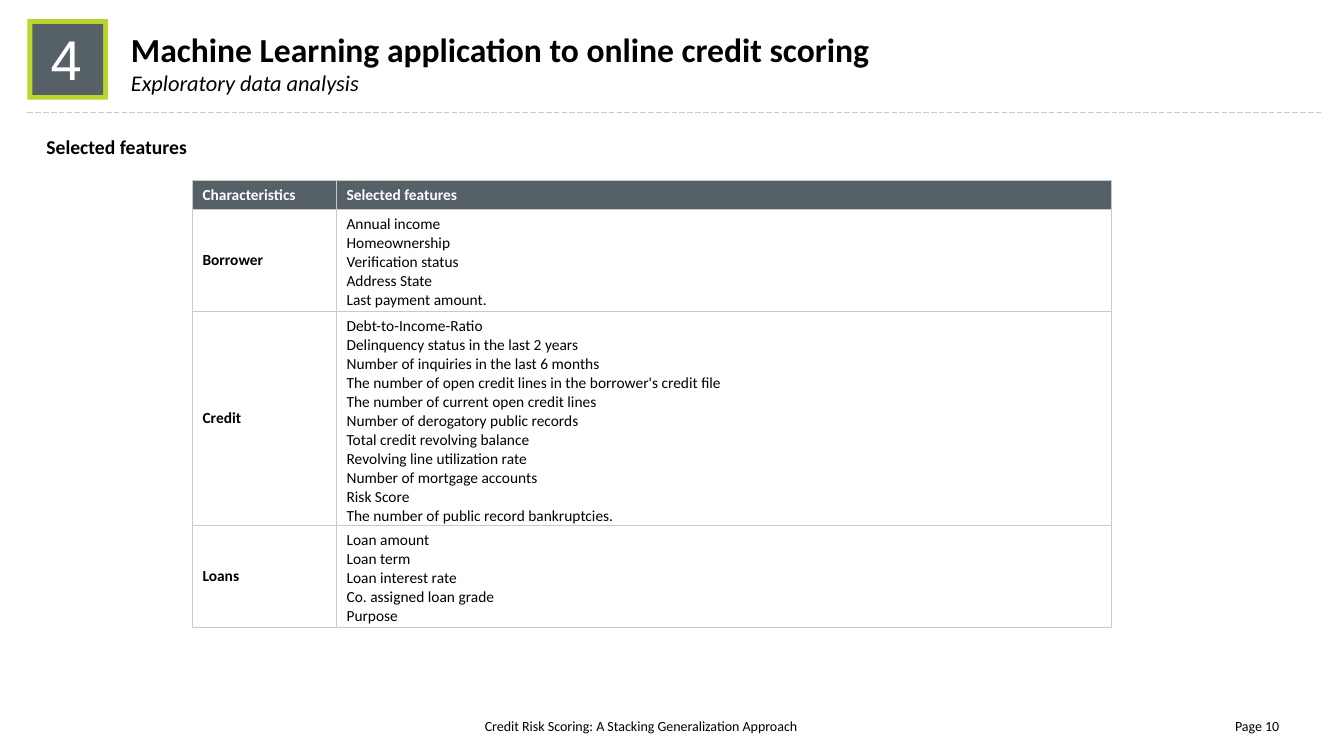
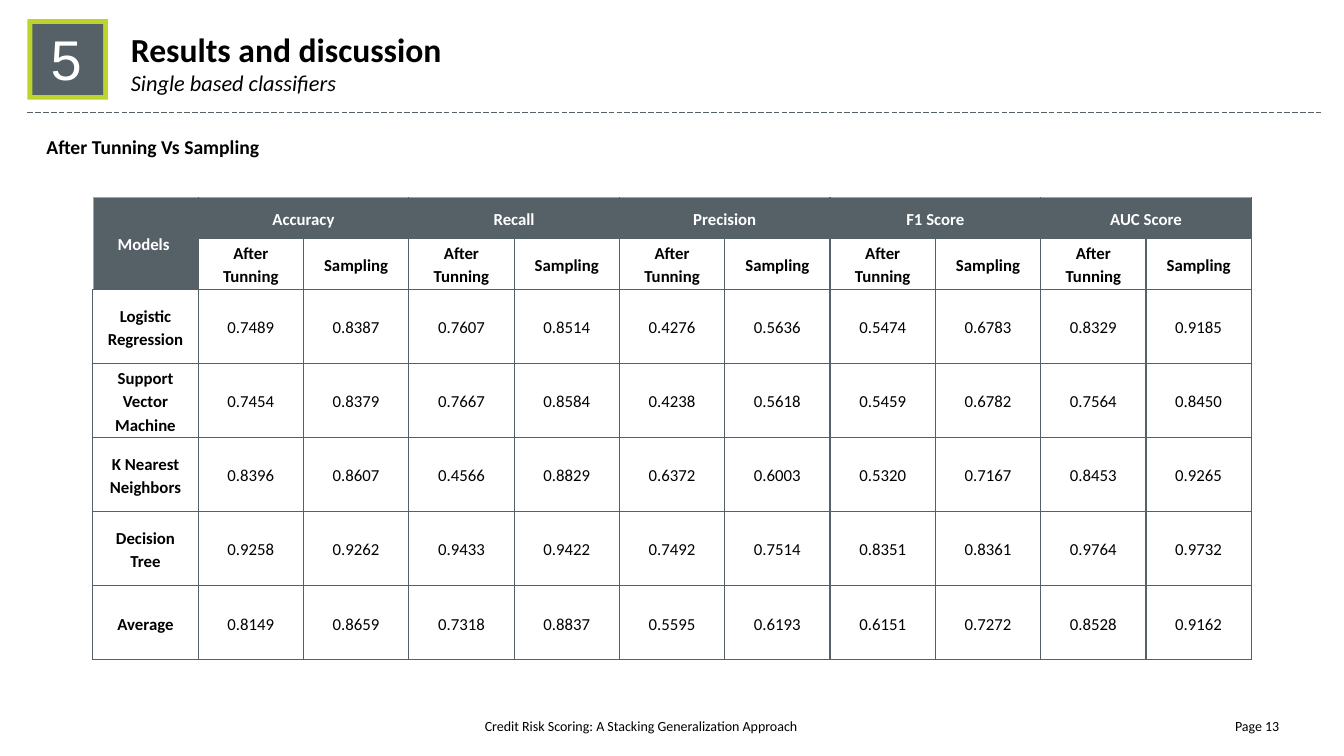
from lxml import etree
from pptx import Presentation
from pptx.dml.color import RGBColor
from pptx.enum.dml import MSO_LINE
from pptx.enum.shapes import MSO_CONNECTOR, MSO_SHAPE
from pptx.enum.text import MSO_ANCHOR as Anchor, MSO_AUTO_SIZE, PP_ALIGN as Align
from pptx.oxml.ns import qn
from pptx.util import Cm, Pt

WHITE = RGBColor(0xFF, 0xFF, 0xFF)
BLACK = RGBColor(0, 0, 0)
SLATE = RGBColor(0x56, 0x60, 0x67)
LIME = RGBColor(0xBD, 0xD5, 0x2A)
LIGHT_GREY = RGBColor(0xC9, 0xC9, 0xC9)
MID_GREY = RGBColor(0xA5, 0xA5, 0xA5)

FOOTER = "Credit Risk Scoring: A Stacking Generalization Approach"

FEATURES = {
    "Borrower": [
        "Annual income",
        "Homeownership",
        "Verification status",
        "Address State",
        "Last payment amount.",
    ],
    "Credit": [
        "Debt-to-Income-Ratio",
        "Delinquency status in the last 2 years",
        "Number of inquiries in the last 6 months",
        "The number of open credit lines in the borrower's credit file",
        "The number of current open credit lines",
        "Number of derogatory public records",
        "Total credit revolving balance",
        "Revolving line utilization rate",
        "Number of mortgage accounts",
        "Risk Score",
        "The number of public record bankruptcies.",
    ],
    "Loans": [
        "Loan amount",
        "Loan term",
        "Loan interest rate",
        "Co. assigned loan grade",
        "Purpose",
    ],
}

METRICS = ["Accuracy", "Recall", "Precision", "F1 Score", "AUC Score"]
STAGES = ["After Tunning", "Sampling"]
SCORES = {
    "Logistic Regression": [0.7489, 0.8387, 0.7607, 0.8514, 0.4276,
                            0.5636, 0.5474, 0.6783, 0.8329, 0.9185],
    "Support Vector Machine": [0.7454, 0.8379, 0.7667, 0.8584, 0.4238,
                               0.5618, 0.5459, 0.6782, 0.7564, 0.8450],
    "K Nearest Neighbors": [0.8396, 0.8607, 0.4566, 0.8829, 0.6372,
                            0.6003, 0.5320, 0.7167, 0.8453, 0.9265],
    "Decision Tree": [0.9258, 0.9262, 0.9433, 0.9422, 0.7492,
                      0.7514, 0.8351, 0.8361, 0.9764, 0.9732],
    "Average": [0.8149, 0.8659, 0.7318, 0.8837, 0.5595,
                0.6193, 0.6151, 0.7272, 0.8528, 0.9162],
}


def style_paragraph(paragraph, size, color=BLACK, bold=False, italic=False,
                    name="Calibri", align=Align.LEFT):
    font = paragraph.font
    font.name, font.size, font.bold, font.italic = name, Pt(size), bold, italic
    font.color.rgb = color
    paragraph.alignment = align


def add_text(shapes, box, lines, anchor=Anchor.TOP, inset=True, grow=True):
    """Add a text box; lines holds pairs of text and paragraph style."""
    frame = shapes.add_textbox(*box).text_frame
    frame.word_wrap = True
    frame.auto_size = MSO_AUTO_SIZE.SHAPE_TO_FIT_TEXT if grow else MSO_AUTO_SIZE.NONE
    frame.vertical_anchor = anchor
    if not inset:
        frame.margin_left = frame.margin_right = 0
        frame.margin_top = frame.margin_bottom = 0
    frame.text = "\n".join(text for text, _ in lines)
    for paragraph, (_, style) in zip(frame.paragraphs, lines):
        style_paragraph(paragraph, **style)


def add_square(shapes, left, top, side, color):
    square = shapes.add_shape(MSO_SHAPE.RECTANGLE, left, top, side, side)
    square.shadow.inherit = False
    square.fill.solid()
    square.fill.fore_color.rgb = color
    square.line.fill.background()


def add_section_tile(slide, left, top, number):
    shapes = slide.shapes.add_group_shape().shapes
    add_square(shapes, left, top, Cm(2.03), LIME)
    add_square(shapes, left + Cm(0.13), top + Cm(0.13), Cm(1.78), SLATE)
    box = left + Cm(0.48), top + Cm(0.15), Cm(1), Cm(1.7)
    style = dict(size=40, color=WHITE, name="Arial", align=Align.CENTER)
    add_text(shapes, box, [(number, style)], inset=False)


def add_divider(slide, left, top, width, color):
    line = slide.shapes.add_connector(
        MSO_CONNECTOR.STRAIGHT, left, top, left + width, top)
    line.line.color.rgb = color
    line.line.width = Pt(0.5)
    line.line.dash_style = MSO_LINE.LONG_DASH
    etree.SubElement(line._element.spPr, qn("a:effectLst"))


def add_footer(slide, left, top, page):
    width, height = Cm(8.59), Cm(0.51)
    for offset, text, align in ((0, FOOTER, Align.CENTER),
                                (Cm(12.04), f"Page {page}", Align.RIGHT)):
        add_text(slide.shapes, (left + offset, top, width, height),
                 [(text, dict(size=10, align=align))], Anchor.MIDDLE, grow=False)


def add_framed_slide(presentation, number, title, subtitle, heading, page, line_color):
    """Add a slide with the shared header, heading and footer."""
    slide = presentation.slides.add_slide(presentation.slide_layouts[6])
    add_section_tile(slide, Cm(0.69), Cm(0.48), number)
    add_text(slide.shapes, (Cm(3.05), Cm(0.61), Cm(19.66), Cm(1.96)),
             [(title, dict(size=24, bold=True)),
              (subtitle, dict(size=16, italic=True))])
    add_divider(slide, Cm(0.69), Cm(2.84), Cm(32.6), line_color)
    add_text(slide.shapes, (Cm(1.17), Cm(3.4), Cm(12.88), Cm(0.61)),
             [(heading, dict(size=14, bold=True))], inset=False)
    add_footer(slide, Cm(11.86), Cm(18.03), page)
    return slide


def set_borders(cell, colors, widths):
    """Draw the left, right, top and bottom borders of a cell."""
    properties = cell._tc.get_or_add_tcPr()
    for index, (side, color, width) in enumerate(zip("LRTB", colors, widths)):
        line = etree.Element(qn(f"a:ln{side}"), w=str(Pt(width)))
        fill = etree.SubElement(line, qn("a:solidFill"))
        etree.SubElement(fill, qn("a:srgbClr"), val=str(color))
        properties.insert(index, line)


def add_grid(slide, left, top, columns, rows):
    """Add a plain table and return its frame."""
    frame = slide.shapes.add_table(
        len(rows), len(columns), left, top, sum(columns), sum(rows))
    table = frame.table
    table.first_row = table.horz_banding = False
    for column, width in zip(table.columns, columns):
        column.width = width
    for row, height in zip(table.rows, rows):
        row.height = height
    return frame


def fill_cell(cell, text, header=False, spacing=None, **style):
    cell.text = text
    cell.vertical_anchor = Anchor.MIDDLE
    if header:
        cell.fill.solid()
        cell.fill.fore_color.rgb = SLATE
    else:
        cell.fill.background()
    for paragraph in cell.text_frame.paragraphs:
        style_paragraph(paragraph, color=WHITE if header else BLACK, **style)
        if spacing:
            paragraph.line_spacing = spacing


def add_features_table(slide, left, top):
    frame = add_grid(slide, left, top, [Cm(3.63), Cm(19.53)],
                     [Cm(0.69)] + [Cm(2.54)] * len(FEATURES))
    frame.height = Cm(11.25)
    rows = [("Characteristics", "Selected features")]
    rows += [(group, "\n".join(names)) for group, names in FEATURES.items()]
    for r, row in enumerate(rows):
        for c, text in enumerate(row):
            cell = frame.table.cell(r, c)
            fill_cell(cell, text, header=r == 0, size=11, bold=r == 0 or c == 0)
            set_borders(cell, [LIGHT_GREY] * 4, [1] * 4)


def add_scores_table(slide, left, top):
    rows = [["Models "] + [text for metric in METRICS for text in (metric, "")],
            [""] + STAGES * len(METRICS)]
    rows += [[model] + [f"{score:.4f}" for score in scores]
             for model, scores in SCORES.items()]
    last = len(rows[0]) - 1
    table = add_grid(slide, left, top, [Cm(2.655)] * len(rows[0]),
                     [Cm(1.02), Cm(1.3)] + [Cm(1.865)] * len(SCORES)).table
    for r, row in enumerate(rows):
        for c, text in enumerate(row):
            cell = table.cell(r, c)
            header = r == 0 or (r == 1 and c == 0)
            cell.margin_left = cell.margin_right = Cm(0.18)
            cell.margin_top = cell.margin_bottom = 0
            fill_cell(cell, text, header, 1.15, size=12,
                      bold=r < 2 or c == 0, align=Align.CENTER)
            outer = [header and c == 0, header and c == last, r == 0, False]
            set_borders(cell, [MID_GREY if edge else SLATE for edge in outer],
                        [0.5 if edge else 1 for edge in outer])
    table.cell(0, 0).merge(table.cell(1, 0))
    for c in range(1, last, 2):
        table.cell(0, c).merge(table.cell(0, c + 1))


def main():
    presentation = Presentation()
    presentation.slide_width, presentation.slide_height = Cm(33.87), Cm(19.05)

    slide = add_framed_slide(
        presentation, "4", "Machine Learning application to online credit scoring",
        "Exploratory data analysis", "Selected features", 10, LIGHT_GREY)
    add_features_table(slide, Cm(4.85), Cm(4.55))

    slide = add_framed_slide(
        presentation, "5", "Results and discussion", "Single based classifiers",
        "After Tunning Vs Sampling", 13, SLATE)
    add_scores_table(slide, Cm(2.34), Cm(4.98))

    presentation.save("out.pptx")


if __name__ == "__main__":
    main()
